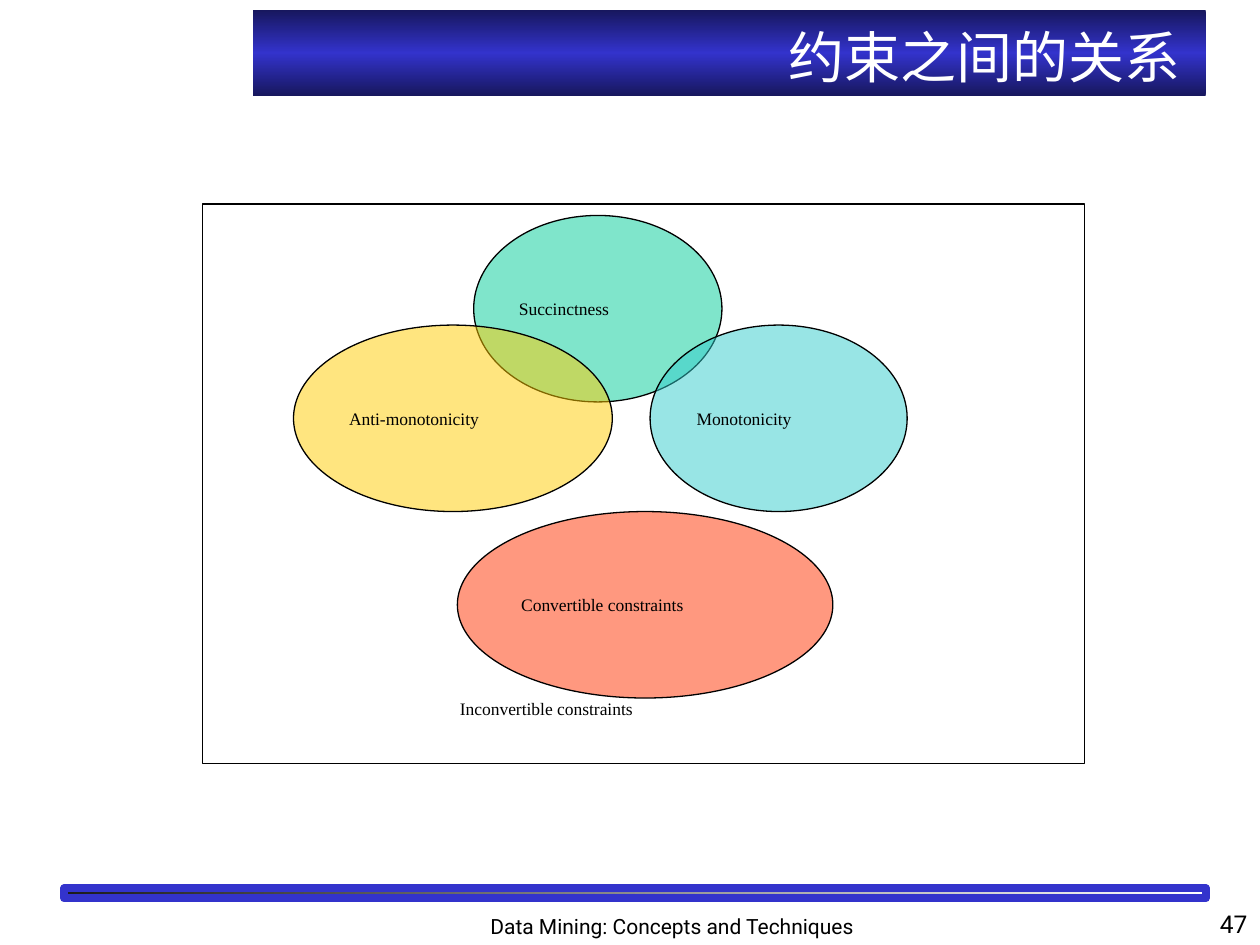
from lxml.etree import SubElement
from pptx import Presentation
from pptx.dml.color import RGBColor
from pptx.enum.shapes import MSO_SHAPE
from pptx.enum.text import MSO_ANCHOR, MSO_AUTO_SIZE, PP_ALIGN
from pptx.oxml.ns import qn
from pptx.util import Inches, Pt

# Content
TITLE = "约束之间的关系 "
FOOTER = "Data Mining: Concepts and Techniques"
PAGE = "47"
ROW_H = 1.48
# label, colour, left, top, width
SETS = [
    ("Succinctness", "green", 3.76, 1.71, 1.97),
    ("Anti-monotonicity", "yellow", 2.33, 2.58, 2.53),
    ("Monotonicity", "teal", 5.16, 2.58, 2.04),
    ("Convertible constraints", "red", 3.63, 2.58 + ROW_H, 2.98),
]
OUTSIDE = ("Inconvertible constraints", (3.58, 5.5, 2.26, 0.6))
COLORS = {
    "green": "00CC99", "yellow": "FFCC00", "teal": "33CCCC", "red": "FF3300",
    "blue": "3333CC", "navy": "17175E", "dark": "1C1C1C",
    "black": "000000", "white": "FFFFFF",
}
TITLE_FONT, LABEL_FONT, FOOTER_FONT = "Noto Sans CJK SC", "Times New Roman", "Roboto"


def rgb(name):
    return RGBColor.from_string(COLORS[name])


def box(*sizes):
    return [Inches(v) for v in sizes]


def write(s, text, font, size, color="black", align=PP_ALIGN.JUSTIFY,
          anchor=MSO_ANCHOR.MIDDLE, insets=(0.07, 0.04)):
    tf = s.text_frame
    tf.word_wrap = True
    tf.auto_size = MSO_AUTO_SIZE.NONE
    tf.vertical_anchor = anchor
    tf.margin_left = tf.margin_right = Inches(insets[0])
    tf.margin_top = tf.margin_bottom = Inches(insets[1])
    p = tf.paragraphs[0]
    p.alignment = align
    r = p.add_run()
    r.text = text
    r.font.name, r.font.size = font, Pt(size)
    r.font.color.rgb = rgb(color)
    SubElement(r.font._element, qn("a:ea"), typeface=font)


def gradient(s, angle, *names):
    """Fill with evenly spaced colour stops."""
    s.fill.gradient()
    s.fill.gradient_angle = angle
    stops = s._element.spPr.find(qn("a:gradFill")).find(qn("a:gsLst"))
    for stop in list(stops):
        stops.remove(stop)
    for i, name in enumerate(names):
        pos = str(100000 * i // (len(names) - 1))
        gs = SubElement(stops, qn("a:gs"), pos=pos)
        SubElement(gs, qn("a:srgbClr"), val=COLORS[name])


def outlined(shapes, kind, place, color="black", width=0.75):
    s = shapes.add_shape(kind, *box(*place))
    s.shadow.inherit = False
    s.line.color.rgb, s.line.width = rgb(color), Pt(width)
    return s


prs = Presentation()
prs.slide_width, prs.slide_height = box(10, 7.5)
slide = prs.slides.add_slide(prs.slide_layouts[5])

# Footer bar
bar = outlined(slide.shapes, MSO_SHAPE.RECTANGLE, (0.51, 7.05, 9.06, 0.08), "blue", 4.5)
gradient(bar, 0, "dark", "white")

# Title band
title = slide.shapes.title
title.left, title.top, title.width, title.height = box(2.01, 0.08, 7.56, 0.68)
gradient(title, 90, "navy", "blue", "navy")
write(title, TITLE, TITLE_FONT, 32, "white", PP_ALIGN.RIGHT, MSO_ANCHOR.BOTTOM, (0.1, 0.05))

# Diagram: half-transparent sets inside a frame
diagram = slide.shapes.add_group_shape().shapes
for label, color, left, top, width in SETS:
    s = outlined(diagram, MSO_SHAPE.OVAL, (left, top, width, ROW_H))
    s.fill.solid()
    s.fill.fore_color.rgb = rgb(color)
    fill = s._element.spPr.find(qn("a:solidFill"))
    SubElement(fill[0], qn("a:alpha"), val="50000")
    write(s, label, LABEL_FONT, 10)

label, place = OUTSIDE
write(diagram.add_textbox(*box(*place)), label, LABEL_FONT, 10, anchor=MSO_ANCHOR.TOP)
frame = outlined(diagram, MSO_SHAPE.RECTANGLE, (1.61, 1.62, 7, 4.44))
frame.fill.background()

# Footer text and page number
for text, size, align, place in [
    (FOOTER, 12, PP_ALIGN.CENTER, (3.75, 7.08, 3.17, 0.42)),
    (PAGE, 14, PP_ALIGN.RIGHT, (7.92, 7, 2.08, 0.5)),
]:
    write(slide.shapes.add_textbox(*box(*place)), text, FOOTER_FONT, size,
          align=align, anchor=MSO_ANCHOR.BOTTOM, insets=(0.1, 0.05))

prs.save("out.pptx")
